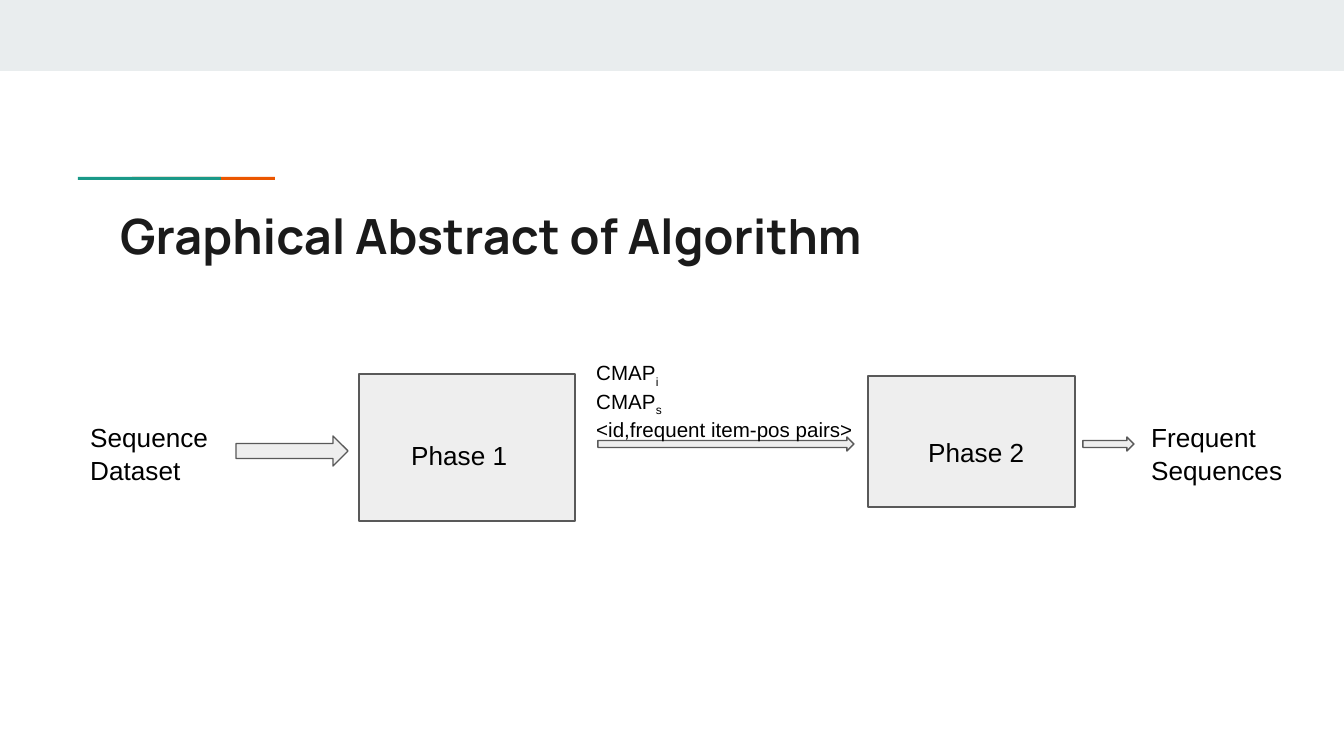
from dataclasses import dataclass

from pptx import Presentation
from pptx import util as u
from pptx.dml.color import RGBColor
from pptx.enum import shapes, text

PX = 914400 / 134.4


@dataclass(frozen=True)
class Theme:
    """Colours, fonts and type sizes of the slide."""
    band: str = "E9EDEE"
    green: str = "1A9988"
    orange: str = "EB5600"
    box: str = "EEEEEE"
    outline: str = "595959"
    title_ink: str = "1A1A1A"
    ink: str = "000000"
    title_font: str = "Manrope"
    body_font: str = "Arial"
    title_size: int = 26
    label_size: int = 14
    note_size: int = 11


THEME = Theme()


def px(*lengths):
    """Turn pixel lengths into EMU."""
    return [u.Emu(round(length * PX)) for length in lengths]


def apply(target, values):
    """Set each named attribute on the target."""
    for name, value in values.items():
        setattr(target, name, value)


def add_block(slide, kind, box, fill, outline=None):
    """Add a filled preset shape, outlined if a colour is given."""
    shape = slide.shapes.add_shape(kind, *px(*box))
    shape.shadow.inherit = False
    shape.fill.solid()
    shape.fill.fore_color.rgb = RGBColor.from_string(fill)
    if outline:
        shape.line.color.rgb = RGBColor.from_string(outline)
        shape.line.width = u.Pt(0.75)
    else:
        shape.line.fill.background()
    return shape


def add_text(slide, box, lines, size, font=THEME.body_font, ink=THEME.ink,
             bold=False, spacing=1.0):
    """Add a text box whose lines are pairs of text and subscript."""
    frame = slide.shapes.add_textbox(*px(*box)).text_frame
    margins = ("margin_left", "margin_top", "margin_right", "margin_bottom")
    apply(frame, dict.fromkeys(margins, u.Inches(0.1)))
    apply(frame, {"word_wrap": True, "vertical_anchor": text.MSO_ANCHOR.TOP})
    for index, (words, subscript) in enumerate(lines):
        paragraph = frame.paragraphs[0] if index == 0 else frame.add_paragraph()
        paragraph.line_spacing = spacing
        for content, baseline in ((words, None), (subscript, "-25000")):
            if not content:
                continue
            run = paragraph.add_run()
            run.text = content
            apply(run.font, {"name": font, "size": u.Pt(size), "bold": bold})
            run.font.color.rgb = RGBColor.from_string(ink)
            if baseline:
                run.font._element.set("baseline", baseline)


def add_header(slide):
    """Add the top band, the two-colour rule and the title."""
    rectangle = shapes.MSO_SHAPE.RECTANGLE
    add_block(slide, rectangle, (0, 0, 1344, 71), THEME.band)
    for left, colour in ((132, THEME.orange), (78, THEME.green)):
        add_block(slide, rectangle, (left, 177, 143, 3), colour)
    add_text(slide, (107, 193, 1130, 79),
             [("Graphical Abstract of Algorithm", "")], THEME.title_size,
             THEME.title_font, THEME.title_ink, True)


def add_flow(slide):
    """Add the phases, the arrows between them and their labels."""
    for box in ((359, 374, 216, 147), (868, 376, 207, 131)):
        add_block(slide, shapes.MSO_SHAPE.RECTANGLE, box, THEME.box, THEME.outline)
    for box in ((236, 436, 112, 30), (598, 437, 256, 14), (1083, 437, 51, 14)):
        add_block(slide, shapes.MSO_SHAPE.RIGHT_ARROW, box, THEME.box, THEME.outline)
    labels = (
        ("Sequence Dataset", (77, 406, 149, 90)),
        ("Phase 1", (398, 424, 147, 56)),
        ("Phase 2", (915, 421, 147, 46)),
        ("Frequent Sequences", (1138, 406, 160, 75)),
    )
    for label, box in labels:
        add_text(slide, box, [(label, "")], THEME.label_size, spacing=1.05)
    add_text(slide, (583, 347, 293, 90),
             [("CMAP", "i"), ("CMAP", "s"), ("<id,frequent item-pos pairs>", "")],
             THEME.note_size)


def main():
    """Build and save the slide."""
    presentation = Presentation()
    width, height = px(1344, 756)
    apply(presentation, {"slide_width": width, "slide_height": height})
    slide = presentation.slides.add_slide(presentation.slide_layouts[6])
    add_header(slide)
    add_flow(slide)
    presentation.save("out.pptx")


if __name__ == "__main__":
    main()
